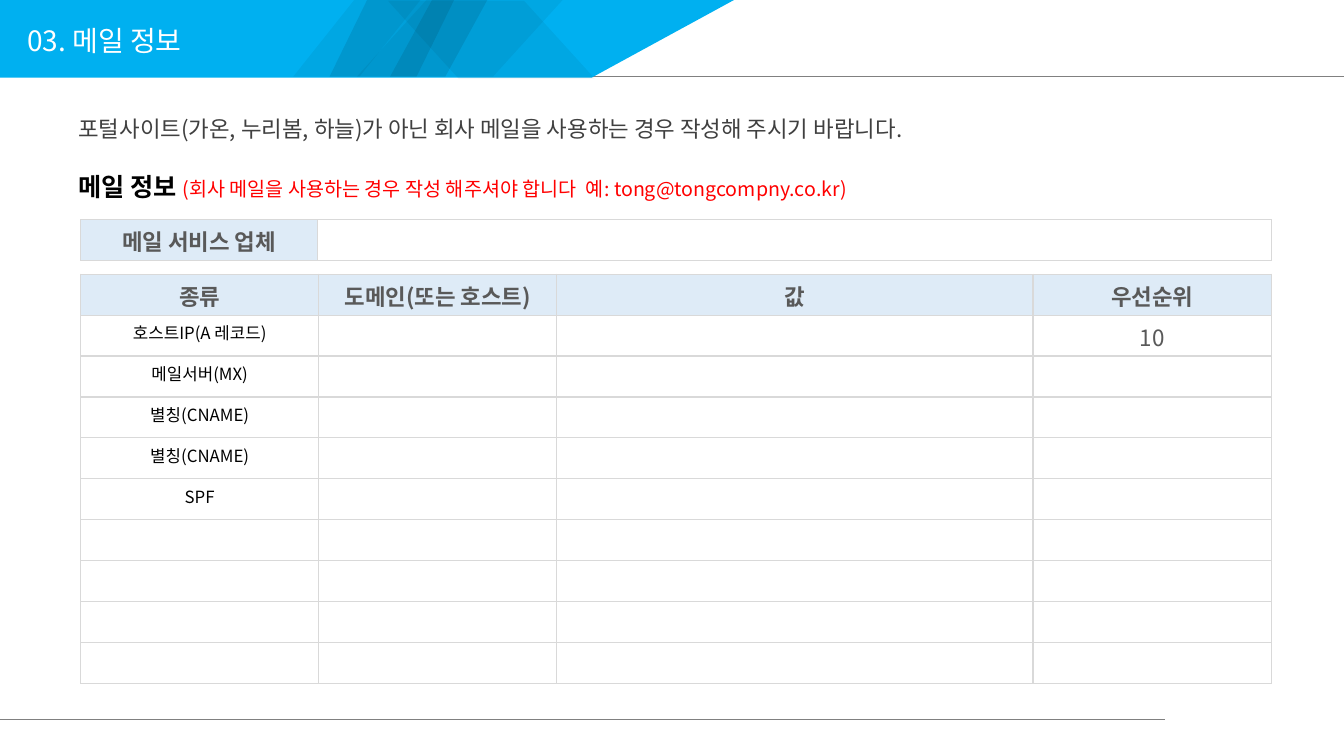
from lxml import etree
from pptx import Presentation
from pptx.dml.color import RGBColor
from pptx.enum import shapes, text
from pptx.oxml import ns
from pptx.util import Pt

FONT = "Noto Sans CJK KR"
SKY = RGBColor(0x00, 0xB0, 0xF0)
WHITE = RGBColor(0xFF, 0xFF, 0xFF)
BLACK = RGBColor(0x00, 0x00, 0x00)
RED = RGBColor(0xFF, 0x00, 0x00)
GRAY = RGBColor(0x80, 0x80, 0x80)
DARK = RGBColor(0x40, 0x40, 0x40)
LABEL = RGBColor(0x59, 0x59, 0x59)
PALE = RGBColor(0xDE, 0xEB, 0xF7)
BORDER = RGBColor(0xD9, 0xD9, 0xD9)


def set_font(font, size, color, bold=False):
    font.size = Pt(size)
    font.bold = bold
    font.color.rgb = color
    font.name = FONT
    etree.SubElement(font._rPr, ns.qn("a:ea"), typeface=FONT)


def add_grid(page, top, widths, rows):
    row_height = 29.23
    frame = page.shapes.add_table(len(rows), len(widths), Pt(57.6), Pt(top),
                                  Pt(sum(widths)), Pt(row_height * len(rows)))
    table = frame.table
    table.first_row = table.horz_banding = False
    for column, width in zip(table.columns, widths):
        column.width = Pt(width)
    for r, row in enumerate(rows):
        table.rows[r].height = Pt(row_height)
        for c in range(len(widths)):
            words, size, color, bold, fill = row[c] if c < len(row) else EMPTY
            cell = table.cell(r, c)
            cell.margin_bottom = 0
            cell.fill.solid()
            cell.fill.fore_color.rgb = fill
            para = cell.text_frame.paragraphs[0]
            para.text = words
            para.alignment = text.PP_ALIGN.CENTER
            set_font(para.font, size, color, bold)
            properties = cell._tc.get_or_add_tcPr()
            for i, side in enumerate(("lnL", "lnR", "lnT", "lnB")):
                line = etree.Element(ns.qn("a:" + side), w=str(Pt(1)))
                solid = etree.SubElement(line, ns.qn("a:solidFill"))
                etree.SubElement(solid, ns.qn("a:srgbClr"), val=str(BORDER))
                properties.insert(i, line)


deck = Presentation()
deck.slide_width, deck.slide_height = Pt(960), Pt(540)
page = deck.slides.add_slide(deck.slide_layouts[6])

for left, right, y, width in ((0, 960, 54.72, 0.75), (-1.44, 832.32, 514.08, 0.5)):
    rule = page.shapes.add_connector(shapes.MSO_CONNECTOR.STRAIGHT,
                                     Pt(left), Pt(y), Pt(right), Pt(y))
    rule.line.color.rgb = GRAY
    rule.line.width = Pt(width)
    etree.SubElement(rule._element.spPr, ns.qn("a:effectLst"))

outline = page.shapes.build_freeform(Pt(0), Pt(-0.72))
outline.add_line_segments([(Pt(525.6), Pt(-0.72)), (Pt(422.64), Pt(55.44)),
                           (Pt(0), Pt(55.44))], close=True)
banner = outline.convert_to_shape()
banner.shadow.inherit = False
banner.fill.solid()
banner.fill.fore_color.rgb = SKY
banner.line.fill.background()

for left, top, width, slant, opacity, flipped in (
    (235.44, -0.72, 89.28, 0.49, 9, False),
    (278.64, -0.72, 69.84, 0.548, 9, False),
    (254.88, -0.72, 147.6, 0.908, 5, False),
    (209.52, -0.72, 91.44, 0.796, 5, False),
    (277.2, 0.72, 147.6, 0.908, 5, True),
):
    stripe = page.shapes.add_shape(shapes.MSO_SHAPE.PARALLELOGRAM,
                                   Pt(left), Pt(top), Pt(width), Pt(55.44))
    stripe.adjustments[0] = slant
    stripe.shadow.inherit = False
    stripe.line.fill.background()
    stripe.fill.solid()
    stripe.fill.fore_color.rgb = BLACK
    tint = stripe._element.spPr.find(".//" + ns.qn("a:srgbClr"))
    etree.SubElement(tint, ns.qn("a:alpha"), val=str(opacity * 1000))
    if flipped:
        stripe._element.spPr.xfrm.set("flipH", "1")

for left, top, width, height, spans in (
    (12.24, 12.96, 412.56, 31.68, [("03. 메일 정보", 20, WHITE, False)]),
    (48.96, 78.48, 671.04, 26.64, [
        ("포털사이트(가온, 누리봄, 하늘)가 아닌 회사 메일을 사용하는 경우 작성해 주시기 바랍니다.",
         16, DARK, False)]),
    (48.96, 118.8, 953.28, 28.8, [
        ("메일 정보 ", 18, BLACK, True),
        ("(회사 메일을 사용하는 경우 작성 해주셔야 합니다  예: tong@tongcompny.co.kr)",
         14, RED, False)]),
):
    box = page.shapes.add_textbox(Pt(left), Pt(top), Pt(width), Pt(height))
    box.text_frame.word_wrap = True
    para = box.text_frame.paragraphs[0]
    for words, size, color, bold in spans:
        span = para.add_run()
        span.text = words
        set_font(span.font, size, color, bold)

EMPTY = ("", 12, BLACK, False, WHITE)
headings = [(words, 16, LABEL, True, PALE)
            for words in ("종류", "도메인(또는 호스트)", "값", "우선순위")]
records = [[(words, 12, BLACK, False, WHITE)]
           for words in ("호스트IP(A 레코드)", "메일서버(MX)", "별칭(CNAME)",
                         "별칭(CNAME)", "SPF", "", "", "", "")]
records[0] += [EMPTY, EMPTY, ("10", 16, LABEL, False, WHITE)]
add_grid(page, 195.84, (170.08, 170.08, 340.16, 170.08), [headings] + records)
add_grid(page, 156.96, (169.2, 681.2), [[("메일 서비스 업체", 16, LABEL, True, PALE)]])

deck.save("out.pptx")
